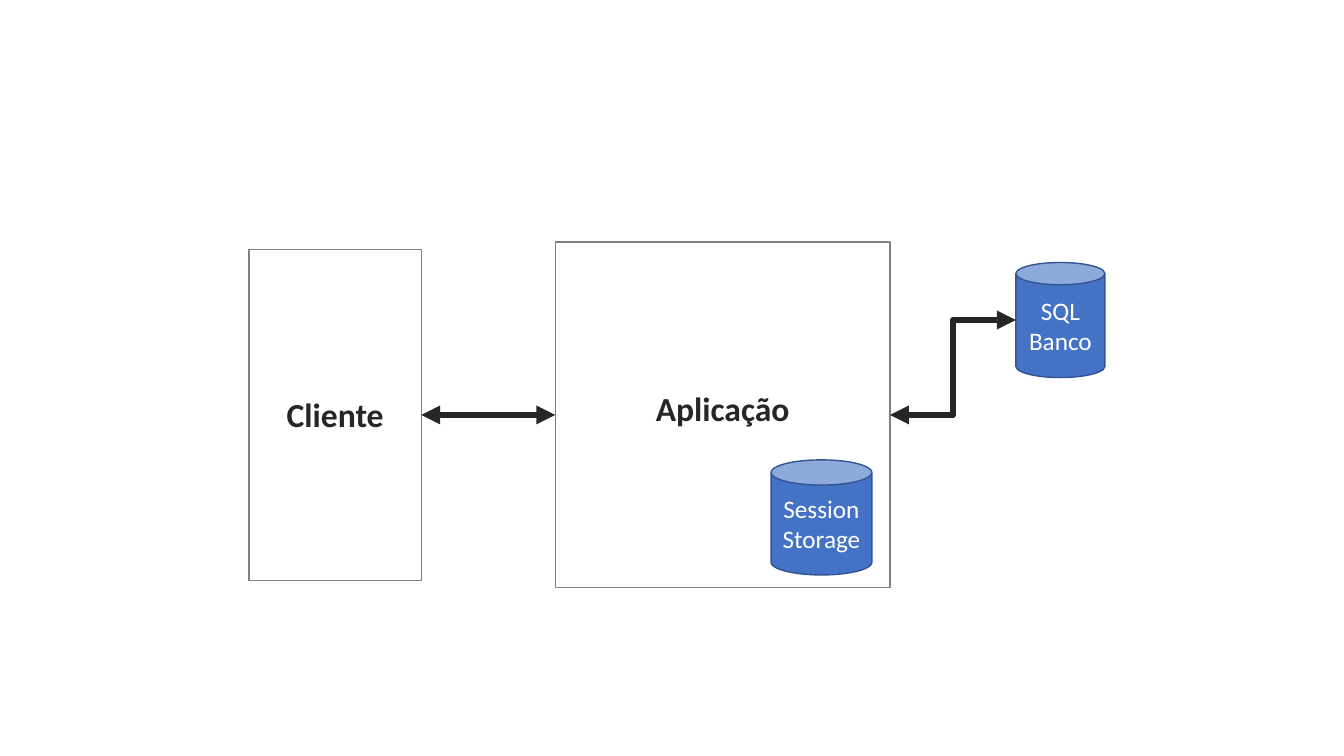
from dataclasses import dataclass

from lxml.etree import SubElement
from pptx import Presentation
from pptx.dml.color import RGBColor
from pptx.enum.shapes import MSO_CONNECTOR, MSO_SHAPE
from pptx.enum.text import MSO_ANCHOR, MSO_AUTO_SIZE, PP_ALIGN
from pptx.oxml.ns import qn
from pptx.util import Inches, Pt

# Slide grid: square cells, 160 columns by 90 rows
COLUMNS, ROWS = 160, 90
WIDTH, HEIGHT = Inches(40 / 3), Inches(7.5)
LEFT, RIGHT = 1, 3  # connection sites of a rectangle
CAN_LEFT = 2  # connection site of a can


@dataclass(frozen=True)
class Theme:
    font: str = "Calibri"
    label_size: int = 24
    store_size: int = 18
    border_width: float = 1
    arrow_width: float = 4.5
    paper: str = "FFFFFF"
    ink: str = "262626"
    border: str = "808080"
    store: str = "4472C4"
    store_border: str = "325491"


THEME = Theme()


def color(value):
    return RGBColor.from_string(value)


def place(center, size):
    """Turn a centre and a size in grid cells into left, top, width, height."""
    (column, row), (columns, rows) = center, size
    return (
        int(WIDTH * (column - columns / 2) / COLUMNS),
        int(HEIGHT * (row - rows / 2) / ROWS),
        int(WIDTH * columns / COLUMNS),
        int(HEIGHT * rows / ROWS),
    )


def write(text_frame, lines, size, ink, bold=False):
    for index, line in enumerate(lines):
        paragraph = text_frame.paragraphs[0] if index == 0 else text_frame.add_paragraph()
        paragraph.alignment = PP_ALIGN.CENTER
        run = paragraph.add_run()
        run.text = line
        run.font.name = THEME.font
        run.font.size = Pt(size)
        run.font.bold = bold
        run.font.color.rgb = color(ink)


def add_outlined(slide, kind, center, size, fill, border):
    shape = slide.shapes.add_shape(kind, *place(center, size))
    shape.shadow.inherit = False
    shape.fill.solid()
    shape.fill.fore_color.rgb = color(fill)
    shape.line.color.rgb = color(border)
    shape.line.width = Pt(THEME.border_width)
    return shape


def add_box(slide, center, size):
    return add_outlined(slide, MSO_SHAPE.RECTANGLE, center, size, THEME.paper, THEME.border)


def add_store(slide, lines, center, size):
    can = add_outlined(slide, MSO_SHAPE.CAN, center, size, THEME.store, THEME.store_border)
    can.text_frame.vertical_anchor = MSO_ANCHOR.MIDDLE
    write(can.text_frame, lines, THEME.store_size, THEME.paper)
    return can


def add_label(slide, text, center, size):
    text_frame = slide.shapes.add_textbox(*place(center, size)).text_frame
    text_frame.word_wrap = False
    text_frame.auto_size = MSO_AUTO_SIZE.SHAPE_TO_FIT_TEXT
    write(text_frame, [text], THEME.label_size, THEME.ink, bold=True)


def add_two_way_arrow(slide, source, target, target_site):
    """Join the right side of source to the left side of target."""
    connector = slide.shapes.add_connector(MSO_CONNECTOR.ELBOW, 0, 0, 0, 0)
    connector.begin_connect(source, RIGHT)
    connector.end_connect(target, target_site)
    connector.end_x = target.left
    connector.end_y = target.top + target.height // 2
    connector.line.color.rgb = color(THEME.ink)
    connector.line.width = Pt(THEME.arrow_width)
    # Arrowheads at both ends, no shadow
    line = connector.line._get_or_add_ln()
    for end in ("a:headEnd", "a:tailEnd"):
        SubElement(line, qn(end), type="triangle")
    SubElement(connector._element.spPr, qn("a:effectLst"))


def main():
    presentation = Presentation()
    presentation.slide_width, presentation.slide_height = WIDTH, HEIGHT
    slide = presentation.slides.add_slide(presentation.slide_layouts[6])

    # Client and application
    middle, client_column, application_column = 49.4, 39.9, 86.04
    application = add_box(slide, (application_column, middle), (39.84, 41.16))
    client = add_box(slide, (client_column, middle), (20.52, 39.36))
    add_label(slide, "Cliente", (client_column, 49.32), (14.16, 6))
    add_label(slide, "Aplicação", (application_column, 48.6), (18.48, 6))

    # Database and the arrows that lead to it
    database = add_store(slide, ["SQL", "Banco"], (126.24, 38.1), (10.6, 13.7))
    add_two_way_arrow(slide, client, application, LEFT)
    add_two_way_arrow(slide, application, database, CAN_LEFT)

    # Session store inside the application
    add_store(slide, ["Session", "Storage"], (97.8, 61.6), (12, 13.7))

    presentation.save("out.pptx")


if __name__ == "__main__":
    main()
